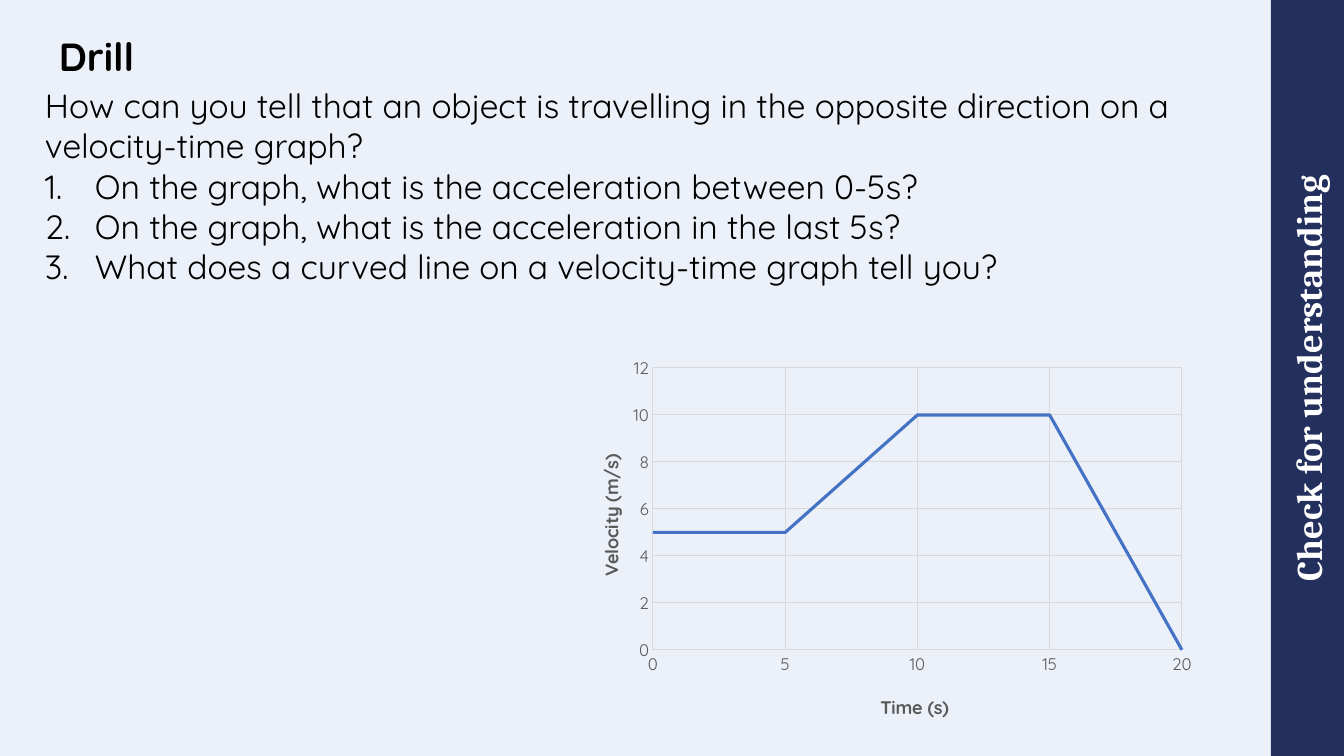
from lxml import etree
from pptx import Presentation
from pptx.chart.data import CategoryChartData
from pptx.dml.color import RGBColor
from pptx.enum.chart import XL_CHART_TYPE as ChartType, XL_TICK_MARK as TickMark
from pptx.enum.shapes import MSO_SHAPE as Shape
from pptx.enum.text import MSO_ANCHOR as Anchor, PP_ALIGN as Align
from pptx.oxml import parse_xml
from pptx.oxml.ns import nsdecls, qn
from pptx.util import Pt

# Content
HEADING = "Drill"
SIDEBAR = "Check for understanding"
INTRO = ("How can you tell that an object is travelling in the opposite "
         "direction on a velocity-time graph?")
QUESTIONS = [
    "On the graph, what is the acceleration between 0-5s?",
    "On the graph, what is the acceleration in the last 5s?",
    "What does a curved line on a velocity-time graph tell you?",
]
TIMES = ["0", "5", "10", "15", "20"]
VELOCITIES = [5, 5, 10, 10, 0]

COLORS = {"background": "ECF1F9", "navy": "232F5D", "white": "FFFFFF",
          "black": "000000", "grey": "595959", "grid": "D9D9D9", "blue": "4472C4"}
BODY_FONT, SIDEBAR_FONT = "Quicksand", "Cambria"

# Layout, in px
EMU_PER_PX = 914400 / 100.8
SLIDE_W, SLIDE_H = 1344, 756
SIDEBAR_W = 73
HEADING_BOX = (59, 0, 1170, 80)
QUESTION_BOX = (35, 80, 1220, 214)
CHART_BOX = (568, 350, 637, 385)
PLOT_BOX = (653, 368, 529, 282)
TIME_TITLE = (877, 691)
VELOCITY_TITLE = (595, 451)
HANGING = 50


def px(*lengths):
    return [round(length * EMU_PER_PX) for length in lengths]


def rgb(name):
    return RGBColor.from_string(COLORS[name])


def set_font(font, size, color="black", bold=False, name=BODY_FONT):
    font.size, font.bold, font.name = Pt(size), bold, name
    font.color.rgb = rgb(color)


def write(frame, lines, size, numbered_from=None, align=Align.LEFT,
          anchor=Anchor.TOP, margin=0, spacing=1.0, **font):
    frame.word_wrap, frame.vertical_anchor = True, anchor
    frame.margin_left = frame.margin_right = px(margin)[0]
    frame.margin_top = frame.margin_bottom = px(margin // 2)[0]
    for index, line in enumerate(lines):
        paragraph = frame.add_paragraph() if index else frame.paragraphs[0]
        paragraph.alignment, paragraph.line_spacing = align, spacing
        if numbered_from is not None and index >= numbered_from:
            properties = paragraph._p.get_or_add_pPr()
            indent = px(HANGING)[0]
            properties.set("marL", str(indent))
            properties.set("indent", str(-indent))
            number = etree.SubElement(properties, qn("a:buAutoNum"))
            number.set("type", "arabicPeriod")
        run = paragraph.add_run()
        run.text = line
        set_font(run.font, size, **font)


def place(x, y, w=None, h=None):
    """Manual chart layout, as fractions of the chart box."""
    left, top, width, height = CHART_BOX
    parts = {"xMode": "edge", "yMode": "edge",
             "x": round((x - left) / width, 4), "y": round((y - top) / height, 4)}
    if w:
        parts = {"layoutTarget": "inner", **parts,
                 "w": round(w / width, 4), "h": round(h / height, 4)}
    inner = "".join(f'<c:{tag} val="{value}"/>' for tag, value in parts.items())
    return parse_xml(f'<c:layout {nsdecls("c")}><c:manualLayout>{inner}'
                     '</c:manualLayout></c:layout>')


def set_layout(element, layout, after=None):
    for old in element.findall(qn("c:layout")):
        element.remove(old)
    if after is None:
        element.insert(0, layout)
    else:
        element.find(qn(after)).addnext(layout)


def style_axis(axis, title, position):
    axis.major_tick_mark = axis.minor_tick_mark = TickMark.NONE
    axis.has_major_gridlines = True
    grid = axis.major_gridlines.format.line
    grid.color.rgb, grid.width = rgb("grid"), Pt(0.75)
    set_font(axis.tick_labels.font, 12, "grey")
    run = axis.axis_title.text_frame.paragraphs[0].add_run()
    run.text = title
    set_font(run.font, 13, "grey", bold=True)
    set_layout(axis.axis_title._element, place(*position), after="c:tx")


# Slide and background
deck = Presentation()
deck.slide_width, deck.slide_height = px(SLIDE_W, SLIDE_H)
slide = deck.slides.add_slide(deck.slide_layouts[6])
slide.background.fill.solid()
slide.background.fill.fore_color.rgb = rgb("background")

# Sidebar: a full-height bar, turned so that its text reads upwards
sidebar_x = SLIDE_W - SIDEBAR_W / 2 - SLIDE_H / 2
sidebar_y = (SLIDE_H - SIDEBAR_W) / 2
sidebar = slide.shapes.add_shape(
    Shape.RECTANGLE, *px(sidebar_x, sidebar_y, SLIDE_H, SIDEBAR_W))
sidebar.rotation = 270
sidebar.shadow.inherit = False
sidebar.fill.solid()
sidebar.fill.fore_color.rgb = rgb("navy")
sidebar.line.fill.background()
write(sidebar.text_frame, [SIDEBAR], 26, align=Align.CENTER, anchor=Anchor.MIDDLE,
      color="white", bold=True, name=SIDEBAR_FONT)

# Heading and questions
heading = slide.shapes.add_textbox(*px(*HEADING_BOX))
write(heading.text_frame, [HEADING], 28, anchor=Anchor.BOTTOM, spacing=0.9, bold=True)
questions = slide.shapes.add_textbox(*px(*QUESTION_BOX))
write(questions.text_frame, [INTRO, *QUESTIONS], 24, numbered_from=1, margin=10)

# Velocity-time graph
data = CategoryChartData()
data.categories = TIMES
data.add_series("Series 1", VELOCITIES)
graph = slide.shapes.add_chart(ChartType.LINE, *px(*CHART_BOX), data).chart
graph.has_legend = graph.has_title = False
set_font(graph.font, 10)
set_layout(graph._chartSpace.chart.plotArea, place(*PLOT_BOX))

plot = graph.plots[0]
plot.vary_by_categories = False
velocity = plot.series[0]
velocity.smooth = False
velocity.format.line.color.rgb = rgb("blue")
velocity.format.line.width = Pt(2.25)

time_axis, velocity_axis = graph.category_axis, graph.value_axis
style_axis(time_axis, "Time (s)", TIME_TITLE)
style_axis(velocity_axis, "Velocity (m/s)", VELOCITY_TITLE)
time_axis.format.line.color.rgb = rgb("grid")
time_axis.format.line.width = Pt(0.75)
velocity_axis.format.line.fill.background()
velocity_axis.minimum_scale, velocity_axis.maximum_scale = 0, 12
velocity_axis.major_unit = 2

# Start the line on the axis itself
cross = velocity_axis._element.find(qn("c:crossBetween"))
if cross is None:
    cross = parse_xml(f'<c:crossBetween {nsdecls("c")} val="midCat"/>')
    velocity_axis._element.find(qn("c:crosses")).addnext(cross)
cross.set("val", "midCat")

deck.save("out.pptx")
